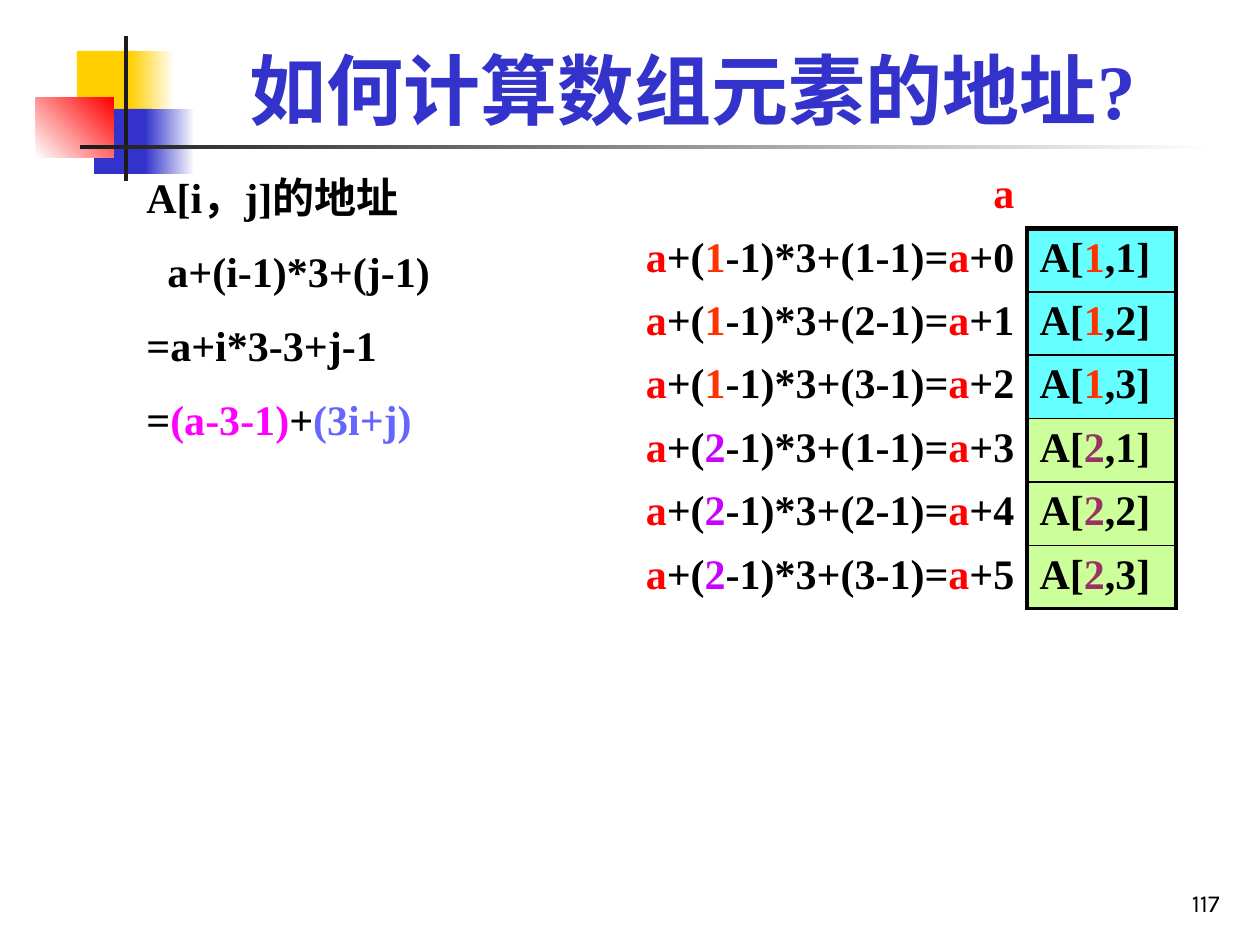
"""Build the slide on computing the addresses of array elements."""
from dataclasses import dataclass

from lxml import etree
from pptx import Presentation
from pptx import util as u
from pptx.dml.color import RGBColor
from pptx.enum import shapes, text
from pptx.oxml.ns import qn

PX = 914400 / 126


@dataclass(frozen=True)
class Theme:
    font: str = "Times New Roman"
    number_font: str = "Karla"
    title_size: int = 44
    body_size: int = 24
    number_size: int = 14
    black: str = "000000"
    white: str = "FFFFFF"
    charcoal: str = "1C1C1C"
    yellow: str = "FFCF01"
    blue: str = "3333CC"
    red: str = "FF0000"
    magenta: str = "FF00FF"
    periwinkle: str = "6666FF"
    orange: str = "FF3300"
    violet: str = "CC00FF"
    plum: str = "993366"
    cyan: str = "66FFFF"
    lime: str = "CCFF99"


theme = Theme()


def box(*lengths):
    return [u.Emu(round(length * PX)) for length in lengths]


def write(paragraph, parts, size=theme.body_size, font=theme.font, bold=True):
    paragraph.font.name = font
    paragraph.font.size = u.Pt(size)
    paragraph.font.bold = bold
    for words, color in parts:
        run = paragraph.add_run()
        run.text = words
        run.font.color.rgb = RGBColor.from_string(color)


presentation = Presentation()
presentation.slide_width, presentation.slide_height = box(1260, 945)
slide = presentation.slides.add_slide(presentation.slide_layouts[5])

decorations = [
    ((77, 51, 60, 65), (theme.yellow,), 0),
    ((130, 51, 45, 65), (theme.yellow, theme.white), 0),
    ((94, 109, 58, 65), (theme.blue,), 0),
    ((145, 109, 50, 65), (theme.blue, theme.white), 0),
    ((36, 98, 78, 60), (theme.white, theme.red), 45),
    ((124, 36, 4, 145), (theme.charcoal,), 0),
    ((80, 145, 1134, 4), (theme.charcoal, theme.white), 0),
]
for place, colors, angle in decorations:
    shape = slide.shapes.add_shape(shapes.MSO_SHAPE.RECTANGLE, *box(*place))
    shape.shadow.inherit = False
    shape.line.fill.background()
    if len(colors) == 1:
        shape.fill.solid()
        shape.fill.fore_color.rgb = RGBColor.from_string(colors[0])
    else:
        shape.fill.gradient()
        shape.fill.gradient_angle = angle
        for stop, color in zip(shape.fill.gradient_stops, colors):
            stop.color.rgb = RGBColor.from_string(color)

title = slide.shapes.title
title.left, title.top, title.width, title.height = box(154, 45, 1077, 96)
title.text_frame.auto_size = text.MSO_AUTO_SIZE.NONE
title.text_frame.vertical_anchor = text.MSO_ANCHOR.BOTTOM
paragraph = title.text_frame.paragraphs[0]
paragraph.alignment = text.PP_ALIGN.CENTER
write(paragraph, [("如何计算数组元素的地址?", theme.blue)], theme.title_size)

number = slide.shapes.add_textbox(*box(970, 861, 262, 63)).text_frame
number.word_wrap = True
number.vertical_anchor = text.MSO_ANCHOR.BOTTOM
number.paragraphs[0].alignment = text.PP_ALIGN.RIGHT
write(number.paragraphs[0], [("117", theme.black)],
      theme.number_size, theme.number_font, False)

derivation = slide.shapes.add_textbox(*box(134, 165, 500, 684)).text_frame
derivation.word_wrap = True
steps = [
    (0, [("A[i，j]的地址", theme.black)]),
    (21, [("a+(i-1)*3+(j-1)", theme.black)]),
    (0, [("=a+i*3-3+j-1", theme.black)]),
    (0, [("=", theme.black), ("(a-3-1)", theme.magenta),
         ("+", theme.black), ("(3i+j)", theme.periwinkle)]),
]
for index, (indent, parts) in enumerate(steps):
    paragraph = derivation.add_paragraph() if index else derivation.paragraphs[0]
    if index:
        paragraph.space_before = u.Pt(13.5)
    if indent:
        paragraph._p.get_or_add_pPr().set("marL", str(box(indent)[0]))
    write(paragraph, parts)

rows = [([("a", theme.red)], [], theme.white)]
groups = [(1, theme.orange, theme.orange, theme.cyan),
          (2, theme.violet, theme.plum, theme.lime)]
for i, formula_color, element_color, fill in groups:
    for j in range(1, 4):
        offset = (i - 1) * 3 + j - 1
        formula = [("a", theme.red), ("+(", theme.black), (str(i), formula_color),
                   (f"-1)*3+({j}-1)=", theme.black), ("a", theme.red),
                   (f"+{offset}", theme.black)]
        element = [("A[", theme.black), (str(i), element_color), (f",{j}]", theme.black)]
        rows.append((formula, element, fill))

table = slide.shapes.add_table(len(rows), 2, *box(620, 165, 556, 444)).table
table.first_row = table.horz_banding = False
table.columns[0].width, table.columns[1].width = box(407, 149)
last = len(rows) - 1
for index, (formula, element, fill) in enumerate(rows):
    table.rows[index].height = box(444 / len(rows))[0]
    address, memory = table.cell(index, 0), table.cell(index, 1)
    if index:
        memory_borders = {"L": 3, "R": 2.25, "T": 3 if index == 1 else 1,
                          "B": 2.25 if index == last else 1}
        address_borders = {"R": 3}
    else:
        memory_borders, address_borders = {"B": 3}, {}
    for cell, parts, borders in ((address, formula, address_borders),
                                 (memory, element, memory_borders)):
        properties = cell._tc.get_or_add_tcPr()
        for side in "LRTB":
            line = etree.SubElement(properties, qn(f"a:ln{side}"))
            if side in borders:
                line.set("w", str(u.Pt(borders[side])))
                solid = etree.SubElement(line, qn("a:solidFill"))
                etree.SubElement(solid, qn("a:srgbClr"), val=theme.black)
            else:
                etree.SubElement(line, qn("a:noFill"))
        write(cell.text_frame.paragraphs[0], parts)
    address.text_frame.paragraphs[0].alignment = text.PP_ALIGN.RIGHT
    address.fill.background()
    memory.fill.solid()
    memory.fill.fore_color.rgb = RGBColor.from_string(fill)

presentation.save("out.pptx")
